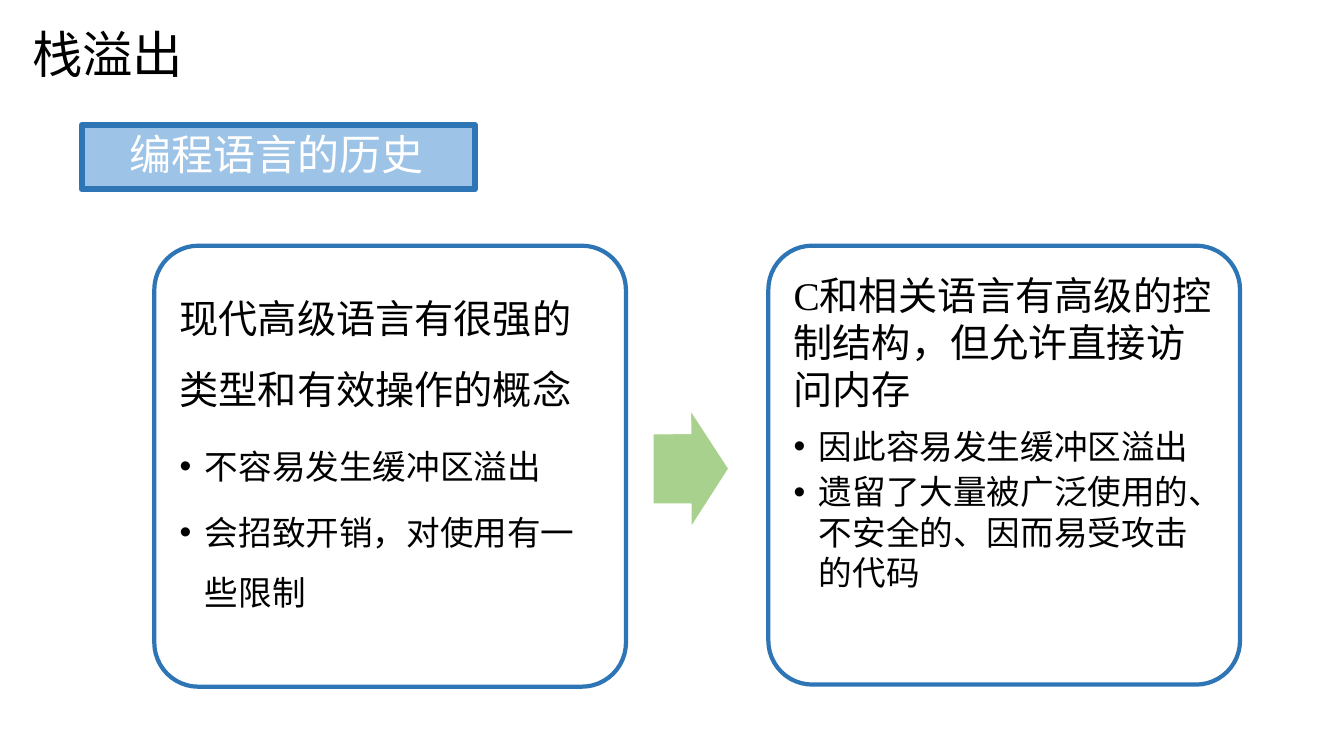
from dataclasses import dataclass

from pptx import Presentation
from pptx.dml.color import RGBColor as Rgb
from pptx.enum.shapes import MSO_SHAPE as Kind
from pptx.enum.text import MSO_ANCHOR as Anchor, MSO_AUTO_SIZE as Fit, PP_ALIGN as Align
from pptx.oxml.ns import qn
from pptx.util import Inches, Pt


@dataclass(frozen=True)
class Theme:
    ink: str = "000000"
    white: str = "FFFFFF"
    edge: str = "2E75B6"
    band: str = "9DC3E6"
    leaf: str = "A9D18E"
    sans: str = "Noto Sans CJK SC"
    serif: str = "Times New Roman"
    title: int = 36
    label: int = 30
    lead: int = 28
    item: int = 24


class Deck:
    COLS, ROWS = 64, 36

    def __init__(self, theme):
        self.theme = theme
        self.prs = Presentation()
        self.prs.slide_width, self.prs.slide_height = Inches(13.33), Inches(7.5)
        self.slide = self.prs.slides.add_slide(self.prs.slide_layouts[5])

    def place(self, x, y, w, h):
        """Turn columns and rows into slide lengths."""
        col = self.prs.slide_width / self.COLS
        row = self.prs.slide_height / self.ROWS
        return [round(n) for n in (x * col, y * row, w * col, h * row)]

    def frame(self, shape, pads, anchor):
        side, end = map(Inches, pads)
        form = dict(word_wrap=True, auto_size=Fit.NONE, vertical_anchor=anchor,
                    margin_left=side, margin_right=side,
                    margin_top=end, margin_bottom=end)
        for key, val in form.items():
            setattr(shape.text_frame, key, val)
        return shape.text_frame

    def letter(self, para, text, size, face, color, **form):
        """Add one run of text and format its paragraph."""
        run = para.add_run()
        run.text = text
        for key, val in dict(name=face, size=Pt(size), bold=False).items():
            setattr(run.font, key, val)
        run.font.color.rgb = Rgb.from_string(color)
        east = run.font._element.makeelement(qn("a:ea"), {"typeface": self.theme.sans})
        run.font._element.find(qn("a:latin")).addnext(east)
        for key, val in dict(alignment=Align.LEFT, **form).items():
            setattr(para, key, val)

    def title(self, text, *box):
        shape = self.slide.shapes.title
        for key, val in zip(("left", "top", "width", "height"), self.place(*box)):
            setattr(shape, key, val)
        para = self.frame(shape, (0.11, 0.06), Anchor.MIDDLE).paragraphs[0]
        look = self.theme
        self.letter(para, text, look.title, look.sans, look.ink)

    def shape(self, kind, box, fill, line, width, adj=()):
        item = self.slide.shapes.add_shape(kind, *self.place(*box))
        item.shadow.inherit = False
        if fill:
            item.fill.solid()
            item.fill.fore_color.rgb = Rgb.from_string(fill)
        else:
            item.fill.background()
        item.line.color.rgb = Rgb.from_string(line)
        item.line.width = Pt(width)
        for spot, val in enumerate(adj):
            item.adjustments[spot] = val
        return item

    def banner(self, text, *box):
        look = self.theme
        item = self.shape(Kind.RECTANGLE, box, look.band, look.edge, 4.33)
        edge = item.line._get_or_add_ln()
        edge.append(edge.makeelement(qn("a:round"), {}))
        para = self.frame(item, (0.47, 0), Anchor.MIDDLE).paragraphs[0]
        self.letter(para, text, look.label, look.sans, look.white, line_spacing=0.9)

    def arrow(self, *box):
        look = self.theme
        item = self.shape(Kind.RIGHT_ARROW, box, look.leaf, look.white, 0.75, (0.6, 0.5))
        item.rotation = 359.8

    def bullet(self, para):
        props = para._p.get_or_add_pPr()
        props.set("marL", str(Inches(0.25)))
        props.set("indent", str(-Inches(0.25)))
        for tag, key, val in (("a:buFont", "typeface", "Arial"), ("a:buChar", "char", "•")):
            props.append(props.makeelement(qn(tag), {key: val}))

    def card(self, box, lead, items, face, gap):
        """Draw a rounded outline with a lead sentence and its bullets."""
        look, pad = self.theme, 0.63
        x, y, w, h = box
        self.shape(Kind.ROUNDED_RECTANGLE, box, None, look.edge, 3, (0.1,))
        spot = self.place(x + pad, y + pad, w - 2 * pad, h - 2 * pad)
        text = self.frame(self.slide.shapes.add_textbox(*spot), (0.12, 0.12), Anchor.TOP)
        self.letter(text.paragraphs[0], lead, look.lead, face, look.ink,
                    line_spacing=gap, space_after=Pt(look.lead * 0.35))
        for item in items:
            para = text.add_paragraph()
            para.level = 1
            self.bullet(para)
            self.letter(para, item, look.item, face, look.ink, line_spacing=gap,
                        space_before=Pt(0), space_after=Pt(look.item * 0.15))


def main():
    look = Theme()
    deck = Deck(look)
    deck.title("栈溢出", 1, 0, 28.4, 5.1)
    deck.banner("编程语言的历史", 3.9, 5.95, 18.7, 3.07)
    cards = (
        ("现代高级语言有很强的类型和有效操作的概念",
         ("不容易发生缓冲区溢出", "会招致开销，对使用有一些限制"), look.sans, 1.5, 21),
        ("C和相关语言有高级的控制结构，但允许直接访问内存",
         ("因此容易发生缓冲区溢出", "遗留了大量被广泛使用的、不安全的、因而易受攻击的代码"),
         look.serif, 1.0, 20.9),
    )
    for spot, (lead, items, face, gap, tall) in enumerate(cards):
        deck.card((7.35 + spot * 29.24, 11.7, 22.46, tall), lead, items, face, gap)
    deck.arrow(31.1, 19.54, 3.6, 5.57)
    deck.prs.save("out.pptx")


if __name__ == "__main__":
    main()
